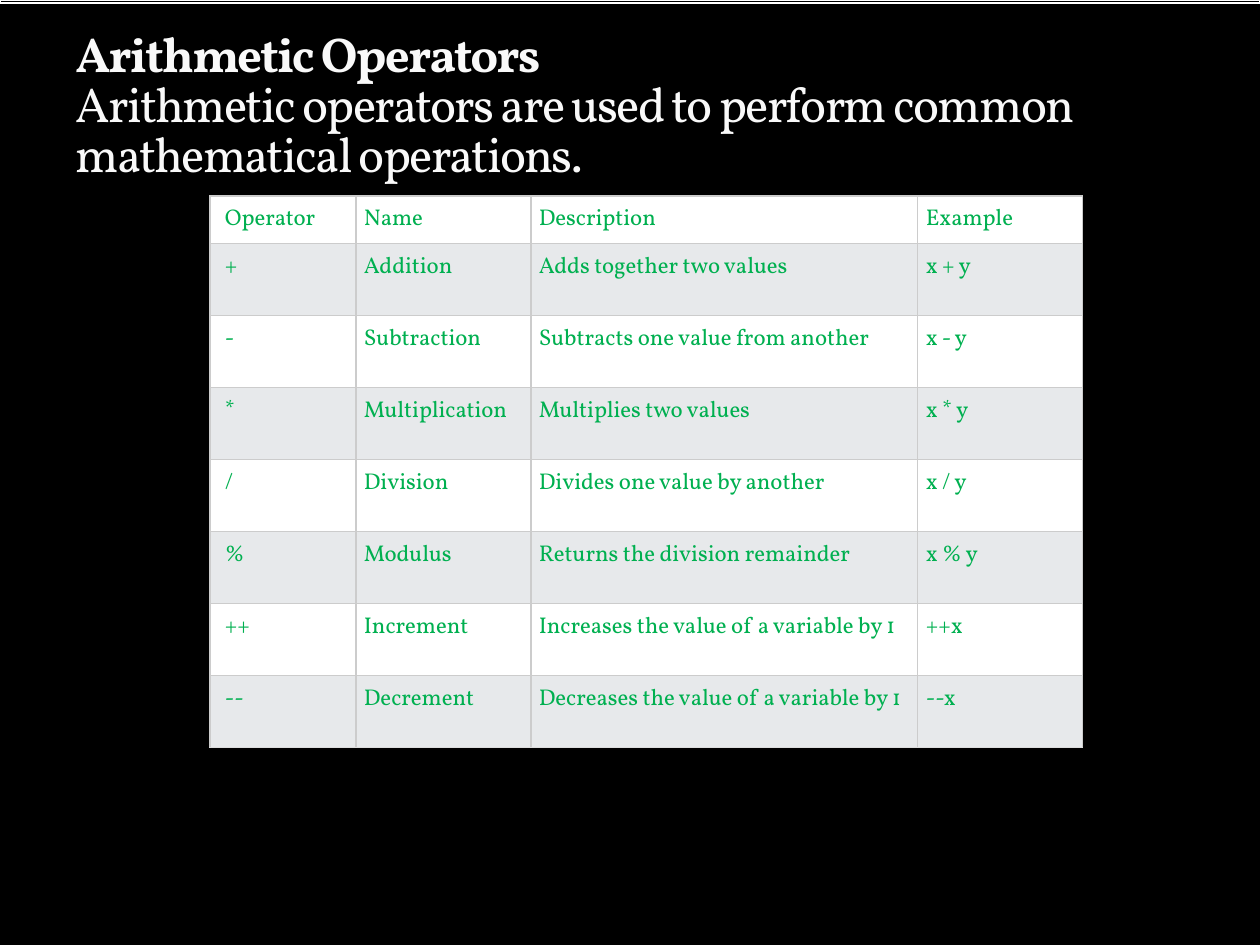
from pptx import Presentation
from pptx.dml.color import RGBColor
from pptx.enum.shapes import MSO_SHAPE
from pptx.enum.text import MSO_ANCHOR, MSO_AUTO_SIZE, PP_ALIGN
from pptx.oxml import parse_xml
from pptx.oxml.ns import nsdecls
from pptx.util import Emu, Pt

# Content
HEADING = "Arithmetic Operators"
SUMMARY = "Arithmetic operators are used to perform common mathematical operations."
OPERATORS = [
    ("Operator", "Name", "Description", "Example"),
    ("+", "Addition", "Adds together two values", "x + y"),
    ("-", "Subtraction", "Subtracts one value from another", "x - y"),
    ("*", "Multiplication", "Multiplies two values", "x * y"),
    ("/", "Division", "Divides one value by another", "x / y"),
    ("%", "Modulus", "Returns the division remainder", "x % y"),
    ("++", "Increment", "Increases the value of a variable by 1", "++x"),
    ("--", "Decrement", "Decreases the value of a variable by 1", "--x"),
]


class Theme:
    font = "Vollkorn"
    background, title, text = "000000", "F9F9F9", "00B050"
    bands = ("FFFFFF", "E7E9EB")
    border, last_border, strip_line = "CCCCCC", "DDDDDD", "FFFFFF"
    title_size, cell_size, line_width = Pt(28), Pt(13), Pt(0.75)


# Layout in px, 126 to the inch
SLIDE = (1260, 945)
TITLE_BOX = (63, 21, 1134, 168)
TABLE_ORIGIN = (210, 196)
COLUMNS = (146, 175, 387, 165)
HEADER_HEIGHT, ROW_HEIGHT = 47, 72
FIRST_INSET, INSET = 15, 8
STRIP = (0, 0, 1260, 3)


def px(value):
    return Emu(round(value * 914400 / 126))


def rgb(value):
    return RGBColor.from_string(value)


def style_run(run, size, color):
    run.font.name = Theme.font
    run.font.size = size
    run.font.color.rgb = rgb(color)


def add_borders(cell, bottom):
    sides = {"lnL": Theme.border, "lnR": Theme.border, "lnT": Theme.border, "lnB": bottom}
    for index, (side, color) in enumerate(sides.items()):
        line = parse_xml(
            f'<a:{side} {nsdecls("a")} w="{Theme.line_width}"><a:solidFill>'
            f'<a:srgbClr val="{color}"/></a:solidFill></a:{side}>')
        cell._tc.get_or_add_tcPr().insert(index, line)


def add_title(slide):
    title = slide.shapes.title
    title.left, title.top, title.width, title.height = map(px, TITLE_BOX)
    frame = title.text_frame
    frame.word_wrap = True
    frame.auto_size = MSO_AUTO_SIZE.NONE
    frame.vertical_anchor = MSO_ANCHOR.BOTTOM
    frame.text = f"{HEADING}\v{SUMMARY}"
    paragraph = frame.paragraphs[0]
    paragraph.alignment = PP_ALIGN.LEFT
    paragraph.line_spacing = 0.85
    for run in paragraph.runs:
        style_run(run, Theme.title_size, Theme.title)
        run.font.bold = run.text == HEADING
        run.font._element.set("spc", "-100")


def add_operator_table(slide):
    heights = [HEADER_HEIGHT] + [ROW_HEIGHT] * (len(OPERATORS) - 1)
    size = (sum(COLUMNS), sum(heights))
    table = slide.shapes.add_table(
        len(OPERATORS), len(COLUMNS), *map(px, TABLE_ORIGIN + size)).table
    for column, width in zip(table.columns, COLUMNS):
        column.width = px(width)
    for row, height in zip(table.rows, heights):
        row.height = px(height)
    for r, operator in enumerate(OPERATORS):
        bottom = Theme.last_border if r == len(OPERATORS) - 1 else Theme.border
        for c, value in enumerate(operator):
            cell = table.cell(r, c)
            cell.text = value
            style_run(cell.text_frame.paragraphs[0].runs[0], Theme.cell_size, Theme.text)
            cell.margin_left = px(INSET if c else FIRST_INSET)
            cell.margin_right = cell.margin_top = cell.margin_bottom = px(INSET)
            cell.fill.solid()
            cell.fill.fore_color.rgb = rgb(Theme.bands[r % 2])
            add_borders(cell, bottom)


def add_top_strip(slide):
    strip = slide.shapes.add_shape(MSO_SHAPE.RECTANGLE, *map(px, STRIP))
    strip.shadow.inherit = False
    strip.fill.solid()
    strip.fill.fore_color.rgb = rgb(Theme.background)
    strip.line.color.rgb = rgb(Theme.strip_line)
    strip.line.width = Theme.line_width


def main():
    deck = Presentation()
    deck.slide_width, deck.slide_height = map(px, SLIDE)
    slide = deck.slides.add_slide(deck.slide_layouts[5])
    slide.background.fill.solid()
    slide.background.fill.fore_color.rgb = rgb(Theme.background)
    add_title(slide)
    add_operator_table(slide)
    add_top_strip(slide)
    deck.save("out.pptx")


if __name__ == "__main__":
    main()
